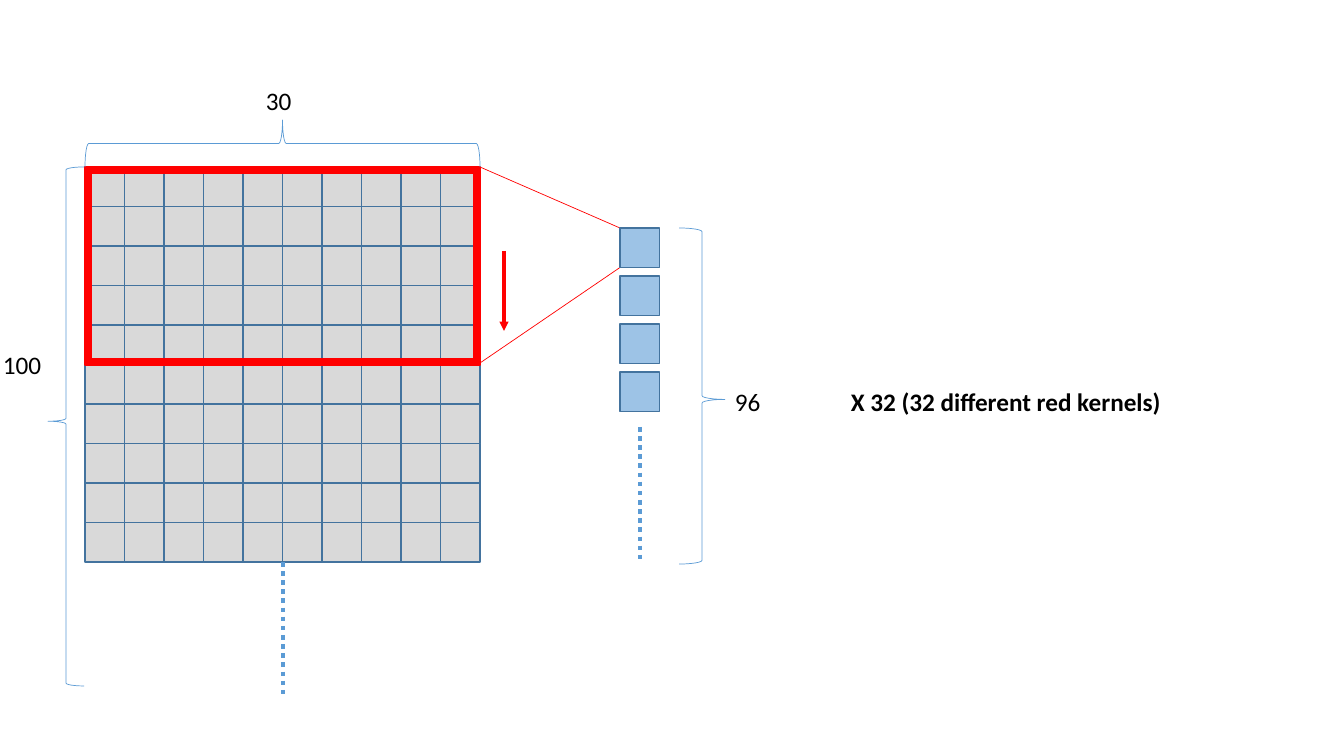
"""Build a slide showing red kernels sliding over an input matrix."""
from dataclasses import dataclass

from pptx import Presentation
from pptx import util as u
from pptx.dml.color import RGBColor
from pptx.enum import dml, shapes, text
from pptx.oxml.ns import qn
from lxml import etree

SCALE = 9144000 / 1008
PRESET = shapes.MSO_SHAPE


def px(length):
    """Turn pixels into EMU."""
    return u.Emu(round(length * SCALE))


@dataclass(frozen=True)
class Theme:
    """Colours, type and line widths of the slide."""
    input_fill: str = "D9D9D9"
    output_fill: str = "9DC3E6"
    outline: str = "43739E"
    accent: str = "5B9BD5"
    kernel: str = "FF0000"
    ink: str = "000000"
    font: str = "Calibri"
    label_size: float = 18
    thin: float = 0.5
    normal: float = 1
    arrow: float = 2.25
    dots: float = 3.25


class Diagram:
    """Draw styled elements on one slide."""

    def __init__(self, slide, theme):
        """Keep the slide and its theme."""
        self.slide, self.theme = slide, theme

    def stroke(self, line, color, width):
        """Set the colour and width of a line."""
        line.color.rgb = RGBColor.from_string(color)
        line.width = u.Pt(width)

    def shape(self, preset, box, fill, color, width):
        """Add a preset shape, unfilled when fill is None."""
        item = self.slide.shapes.add_shape(preset, *map(px, box))
        item.shadow.inherit = False
        if fill:
            item.fill.solid()
            item.fill.fore_color.rgb = RGBColor.from_string(fill)
        else:
            item.fill.background()
        self.stroke(item.line, color, width)
        return item

    def cell(self, left, top, size, fill):
        """Add a square matrix cell."""
        return self.shape(PRESET.RECTANGLE, (left, top, size, size), fill,
                          self.theme.outline, self.theme.normal)

    def row(self, cells):
        """Group the cells of one matrix row."""
        self.slide.shapes.add_group_shape(cells)

    def brace(self, box, tip, rotation=0):
        """Add a curly brace with its tip at a share of its length."""
        item = self.shape(PRESET.LEFT_BRACE, box, None,
                          self.theme.accent, self.theme.thin)
        item.adjustments[0], item.adjustments[1] = 0.08, tip
        item.rotation = rotation

    def line(self, start, end, color, width, dotted=False, arrow=False):
        """Add a straight line, optionally dotted or with an arrowhead."""
        item = self.slide.shapes.add_connector(
            shapes.MSO_CONNECTOR.STRAIGHT, *map(px, (*start, *end)))
        self.stroke(item.line, color, width)
        if dotted:
            item.line.dash_style = dml.MSO_LINE.ROUND_DOT
        properties = item._element.spPr
        if arrow:
            etree.SubElement(properties.find(qn("a:ln")), qn("a:tailEnd"), type="triangle")
        etree.SubElement(properties, qn("a:effectLst"))

    def label(self, wording, box, bold=False):
        """Add a one-line text label."""
        frame = self.slide.shapes.add_textbox(*map(px, box)).text_frame
        frame.text = wording
        frame.word_wrap = False
        frame.auto_size = text.MSO_AUTO_SIZE.SHAPE_TO_FIT_TEXT
        font = frame.paragraphs[0].runs[0].font
        font.name, font.size, font.bold = self.theme.font, u.Pt(self.theme.label_size), bold
        font.color.rgb = RGBColor.from_string(self.theme.ink)


def main():
    """Compose and save the slide."""
    deck = Presentation()
    deck.slide_width, deck.slide_height = px(1344), px(756)
    theme = Theme()
    diagram = Diagram(deck.slides.add_slide(deck.slide_layouts[6]), theme)

    left, top, side, count = 85, 167, 395, 10
    cell = side / count
    for row in range(count):
        diagram.row([diagram.cell(left + column * cell, top + row * cell, cell, theme.input_fill)
                     for column in range(count)])

    kernel_height = 198
    kernel = diagram.shape(PRESET.FRAME, (left, top, side, kernel_height),
                           theme.kernel, theme.kernel, theme.normal)
    kernel.adjustments[0] = 0.03
    diagram.line((504, 251), (504, 331), theme.kernel, theme.arrow, arrow=True)

    diagram.brace((259, -54, 47, side), 0.5, rotation=90)
    diagram.label("30", (256, 80, 46, 40))
    diagram.brace((48, top, 36, 519), 0.49)
    diagram.label("100", (-7, 344, 59, 40))
    diagram.line((283, 562), (283, 698), theme.accent, theme.dots, dotted=True)

    output_left, output_top, output_pitch = 620, 228, 48
    for kernel_y, output_y in ((top, output_top), (363, output_top + cell)):
        diagram.line((left + side, kernel_y), (output_left, output_y), theme.kernel, theme.thin)
    for step in range(4):
        diagram.cell(output_left, output_top + step * output_pitch, cell, theme.output_fill)
    diagram.line((640, 427), (640, 563), theme.accent, theme.dots, dotted=True)
    diagram.brace((679, output_top, 46, 336), 0.49, rotation=180)
    diagram.label("96", (725, 381, 46, 40))
    diagram.label("X 32 (32 different red kernels)", (841, 381, 334, 40), bold=True)

    deck.save("out.pptx")


main()
